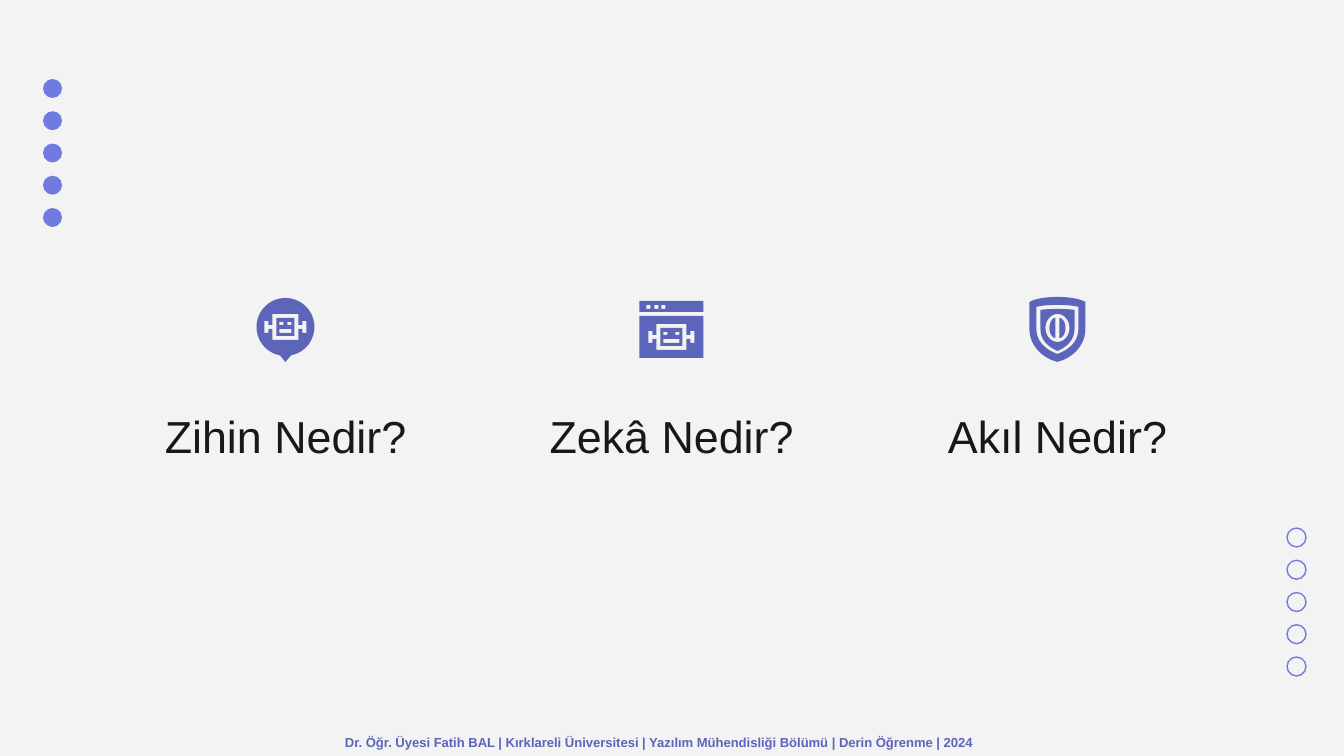
from math import cos, pi, sin

from lxml import etree
from pptx import Presentation
from pptx.dml.color import RGBColor
from pptx.enum.shapes import MSO_SHAPE
from pptx.enum.text import MSO_ANCHOR, PP_ALIGN
from pptx.oxml.ns import qn
from pptx.util import Pt

OVAL = MSO_SHAPE.OVAL
LEFT, CENTER = PP_ALIGN.LEFT, PP_ALIGN.CENTER
MIDDLE, BOTTOM = MSO_ANCHOR.MIDDLE, MSO_ANCHOR.BOTTOM
PX = 914400 / 134.4
PAPER, INK, ACCENT, DOT = "F3F3F3", "181818", "5D65BB", "707BE0"


def emu(px):
    return round(px * PX)


def color(value):
    return RGBColor.from_string(value)


def write(sp, text, size=24, fill=INK, bold=False, align=CENTER, anchor=BOTTOM):
    tf = sp.text_frame
    tf.word_wrap = True
    tf.vertical_anchor = anchor
    tf.margin_left = tf.margin_right = tf.margin_top = tf.margin_bottom = emu(13)
    p = tf.paragraphs[0]
    p.alignment = align
    p.line_spacing = 1.15
    p.space_before = p.space_after = Pt(0)
    r = p.add_run()
    r.text = text
    r.font.name, r.font.size, r.font.bold = "Arial", Pt(size), bold
    r.font.color.rgb = color(fill)
    return p


def rect(left, top, right, bottom):
    return [(left, top), (right, top), (right, bottom), (left, bottom)]


def arc(cx, cy, rx, ry, start=0, end=360, steps=32):
    angles = [(start + (end - start) * i / steps) * pi / 180 for i in range(steps + 1)]
    return [(cx + rx * cos(a), cy + ry * sin(a)) for a in angles]


def bezier(a, b, c, d, steps=16):
    points = []
    for i in range(steps + 1):
        t = i / steps
        u = 1 - t
        points.append(tuple(
            u**3 * a[k] + 3 * u * u * t * b[k] + 3 * u * t * t * c[k] + t**3 * d[k]
            for k in (0, 1)))
    return points


def shift(points, dx, dy):
    return [(x + dx, y + dy) for x, y in points]


def solid(shapes, x, y, *contours):
    placed = [[(emu(px), emu(py)) for px, py in shift(c, x, y)] for c in contours]
    fb = shapes.build_freeform(*placed[0][0])
    for i, points in enumerate(placed):
        if i:
            fb.move_to(*points[0])
        fb.add_line_segments(points[1:], close=True)
    sp = fb.convert_to_shape()
    sp.shadow.inherit = False
    sp.fill.solid()
    sp.fill.fore_color.rgb = color(ACCENT)
    sp.line.fill.background()


def robot_outline(w):
    right = [(w, -13), (w, -2), (w + 4, -2), (w + 4, -6), (w + 8, -6),
             (w + 8, 6), (w + 4, 6), (w + 4, 2), (w, 2), (w, 13)]
    return right + [(-x, y) for x, y in reversed(right)]


def robot_face(shapes, x, y, w):
    near, far = w - 11, w - 7
    solid(shapes, x, y, rect(4 - w, -9, w - 4, 9), rect(-far, -5, -near, -2),
          rect(near, -5, far, -2), rect(-far, 2, far, 6))


def bubble_icon(shapes, x, y):
    balloon = arc(0, 30, 29, 29, 101, 439) + [(0, 65)]
    solid(shapes, x, y, balloon, shift(robot_outline(13), 0, 30))
    robot_face(shapes, x, y + 30, 13)


def window_icon(shapes, x, y):
    dots = [rect(left, 8, left + 4, 12) for left in (-25, -17, -10)]
    solid(shapes, x, y, rect(-32, 4, 32, 15), *dots)
    solid(shapes, x, y, rect(-32, 19, 32, 61), shift(robot_outline(15), 0, 40))
    robot_face(shapes, x, y + 40, 15)


def shield_outline(w, shoulder, crown, side, tip):
    lift = crown - (shoulder - crown) / 3
    top = bezier((-w, shoulder), (-w * 0.6, lift), (w * 0.6, lift), (w, shoulder))
    drop = (tip - side) / 2
    right = bezier((w, side), (w, side + drop), (w * 0.55, tip - 4), (0, tip))
    return top + right + [(-x, y) for x, y in reversed(right)]


def shield_icon(shapes, x, y):
    solid(shapes, x, y, shield_outline(28, 5, 0, 32, 65), shield_outline(21, 10, 8, 32, 57))
    solid(shapes, x, y, shield_outline(17, 13, 12, 32, 54), arc(0, 31, 12, 14))
    for side, start in ((1, -90), (-1, 90)):
        solid(shapes, x, y, arc(2 * side, 31, 6, 10, start, start + 180))


def dot_column(s, left, top, size, height, filled, count=5):
    shapes = s.shapes.add_group_shape().shapes
    pitch = (height - size) / (count - 1)
    for i in range(count):
        sp = shapes.add_shape(OVAL, emu(left), emu(top + i * pitch), emu(size), emu(size))
        sp.shadow.inherit = False
        if filled:
            sp.fill.solid()
            sp.fill.fore_color.rgb = color(DOT)
            sp.line.fill.background()
        else:
            sp.fill.background()
            sp.line.color.rgb = color(DOT)
            sp.line.width = Pt(0.75)


def question(s, sp, text, draw_icon, left, top, width, height):
    label = 97
    sp.left, sp.top = emu(left), emu(top + height - label)
    sp.width, sp.height = emu(width), emu(label)
    pPr = write(sp, text)._p.get_or_add_pPr()
    pPr.set("marL", "0")
    pPr.set("indent", "0")
    etree.SubElement(pPr, qn("a:buNone"))
    draw_icon(s.shapes.add_group_shape().shapes, left + width / 2, top)


def footer(s, text, left, top, width, height):
    sp = s.shapes.add_textbox(emu(left), emu(top), emu(width), emu(height))
    write(sp, text, size=7, fill=ACCENT, bold=True, align=LEFT, anchor=MIDDLE)


def main():
    prs = Presentation()
    prs.slide_width, prs.slide_height = emu(1344), emu(756)
    s = prs.slides.add_slide(prs.slide_layouts[4])
    s.background.fill.solid()
    s.background.fill.fore_color.rgb = color(PAPER)

    title, *bodies, spare = list(s.placeholders)
    for sp in (title, spare):
        sp.element.getparent().remove(sp.element)

    dot_column(s, 1287, 528, 19, 148, filled=False)
    dot_column(s, 43, 79, 19, 148, filled=True)
    questions = [("Zihin Nedir?", bubble_icon), ("Zekâ Nedir?", window_icon),
                 ("Akıl Nedir?", shield_icon)]
    for i, (sp, (text, icon)) in enumerate(zip(bodies, questions)):
        question(s, sp, text, icon, 121 + 386 * i, 297, 329, 179)
    footer(s, "Dr. Öğr. Üyesi Fatih BAL | Kırklareli Üniversitesi | "
              "Yazılım Mühendisliği Bölümü | Derin Öğrenme | 2024", 332, 728, 680, 27)
    prs.save("out.pptx")


if __name__ == "__main__":
    main()
